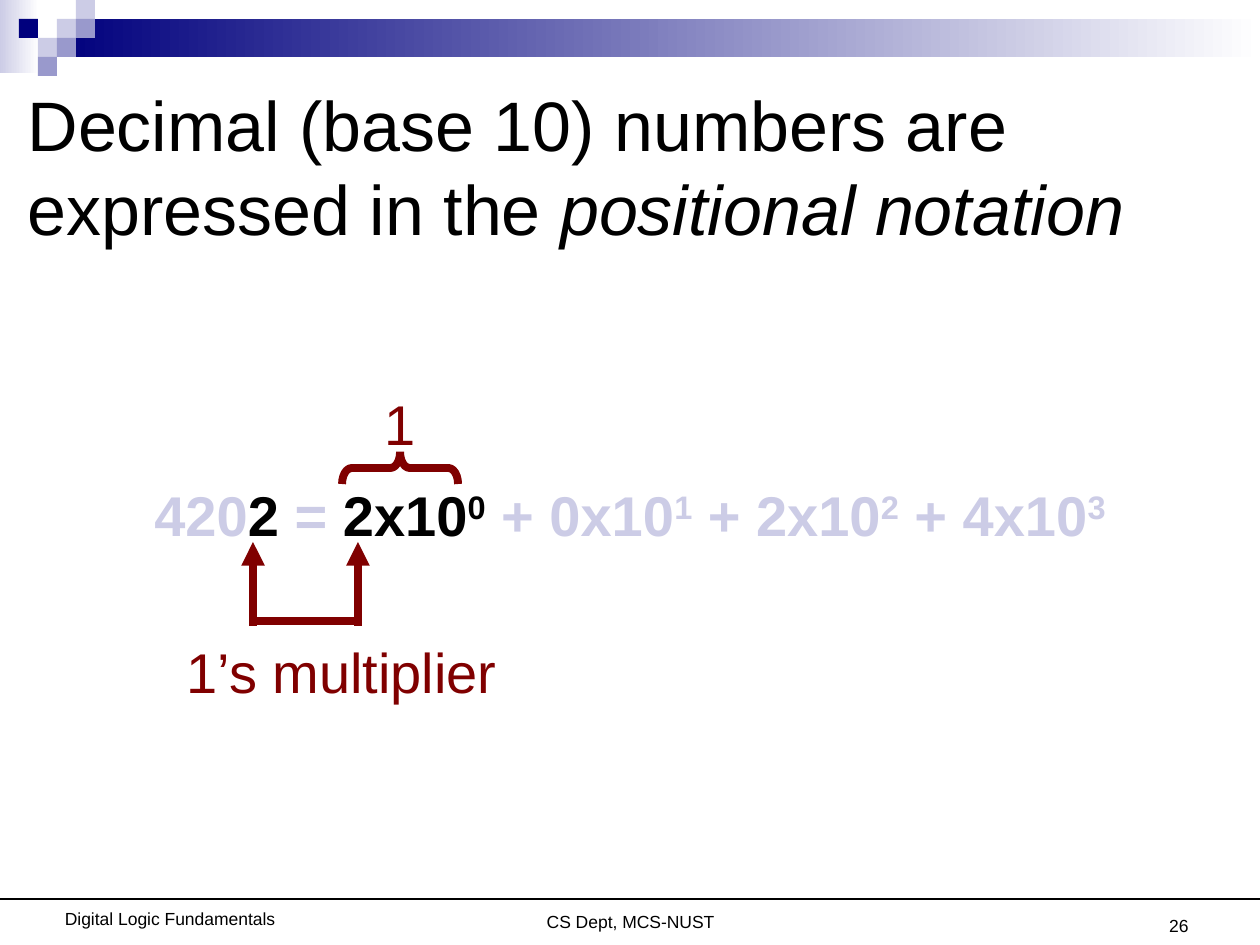
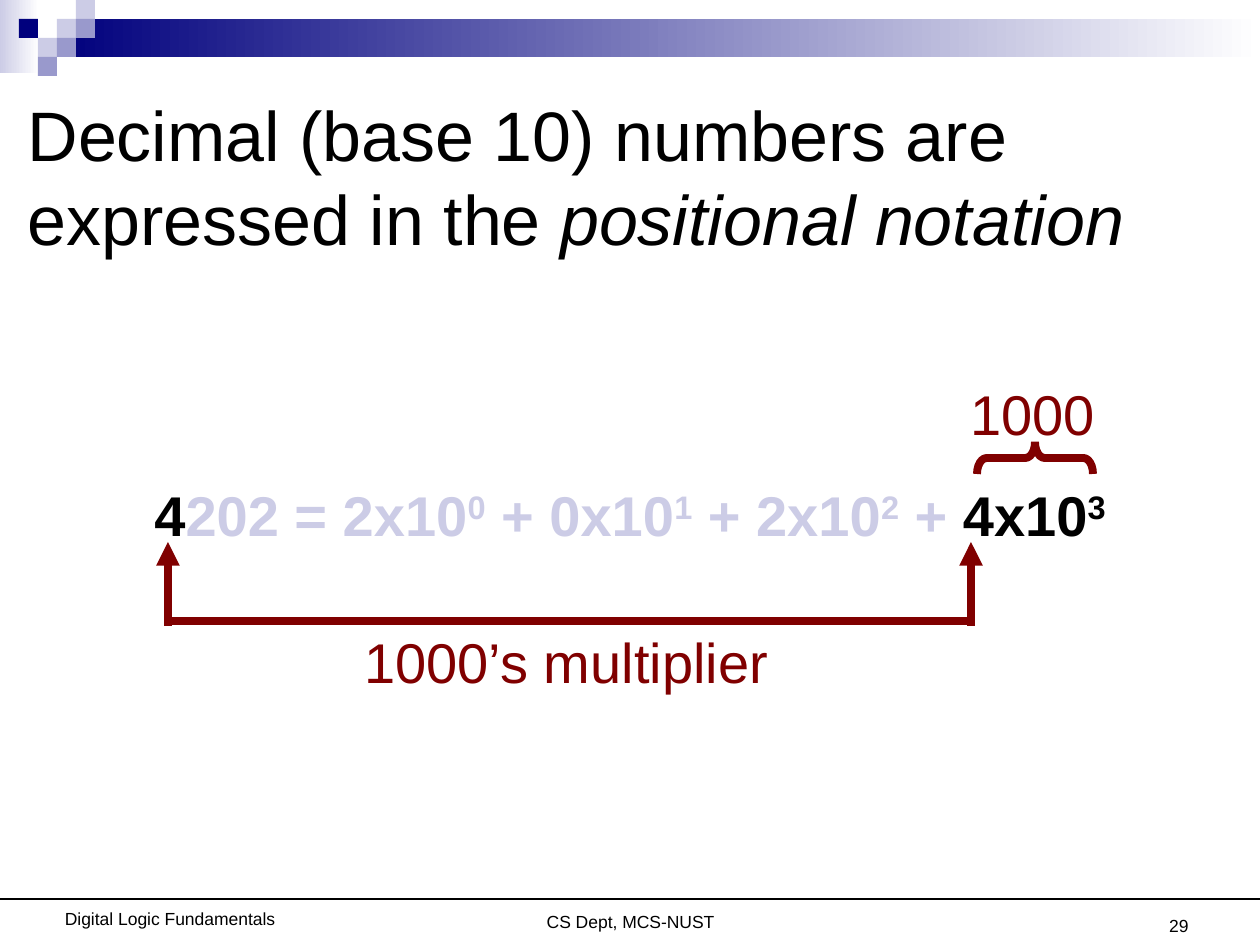
from dataclasses import dataclass
from typing import NamedTuple

from lxml.etree import SubElement
from pptx import Presentation
from pptx.dml.color import RGBColor
from pptx.enum.shapes import MSO_CONNECTOR, MSO_SHAPE
from pptx.enum.text import MSO_ANCHOR, MSO_AUTO_SIZE, PP_ALIGN
from pptx.oxml.ns import qn
from pptx.util import Emu, Pt

PX_PER_INCH = 126
SLIDE_WIDTH, SLIDE_HEIGHT = 1260, 945


@dataclass(frozen=True)
class Theme:
    font: str = "Arial"
    ink: str = "000000"
    navy: str = "00007D"
    violet: str = "9999CC"
    pale: str = "CCCCE6"
    paper: str = "FFFFFF"
    accent: str = "800000"
    title_size: int = 40
    formula_size: int = 32
    footer_size: int = 10
    rule_width: float = 0.75
    mark_width: float = 4.5


THEME = Theme()


class Area(NamedTuple):
    left: int
    top: int
    width: int
    height: int


class Span(NamedTuple):
    text: str
    color: str = THEME.ink
    bold: bool = False
    italic: bool = False
    raised: bool = False


class Square(NamedTuple):
    column: int
    row: int
    color: str


class Footer(NamedTuple):
    text: str
    area: Area
    align: PP_ALIGN


class Label(NamedTuple):
    text: str
    area: Area


@dataclass(frozen=True)
class PositionSlide:
    number: int
    power: int
    title_top: int
    arrow_xs: tuple[int, int]
    brace_center: int
    brace_top: int
    weight: Label
    multiplier: Label


TITLE = [
    Span("Decimal (base 10) numbers are expressed in the "),
    Span("positional notation", italic=True),
]
DIGITS = "4202"
FORMULA_AREA = Area(0, 474, SLIDE_WIDTH, 80)
SQUARE_SIDE = 19
SQUARES = [
    Square(3, 1, THEME.pale),
    Square(4, 0, THEME.pale),
    Square(4, 1, THEME.violet),
    Square(2, 2, THEME.pale),
    Square(1, 1, THEME.navy),
    Square(3, 2, THEME.violet),
    Square(2, 3, THEME.violet),
]
FOOTERS = [
    Footer("CS Dept, MCS-NUST", Area(368, 905, 525, 32), PP_ALIGN.CENTER),
    Footer("Digital Logic Fundamentals", Area(44, 902, 252, 32), PP_ALIGN.CENTER),
]
NUMBER_AREA = Area(907, 910, 294, 32)
FOOTER_RULE_Y = 899
ARROW_TIP_Y, ARROW_BASE_Y, BRACKET_Y = 542, 626, 621
BRACE_DEPTH, BRACE_SPAN = 32, 116

SLIDES = [
    PositionSlide(
        number=26, power=0, title_top=87, arrow_xs=(253, 358),
        brace_center=400, brace_top=452,
        weight=Label("1", Area(372, 383, 57, 81)),
        multiplier=Label("1’s multiplier", Area(174, 631, 336, 81)),
    ),
    PositionSlide(
        number=29, power=3, title_top=97, arrow_xs=(168, 971),
        brace_center=1035, brace_top=442,
        weight=Label("1000", Area(958, 373, 150, 81)),
        multiplier=Label("1000’s multiplier", Area(352, 621, 430, 81)),
    ),
]


def px(length: int) -> Emu:
    return Emu(round(length * 914400 / PX_PER_INCH))


def rgb(color: str) -> RGBColor:
    return RGBColor.from_string(color)


def format_text(frame, spans: list[Span], *, size: int, align=PP_ALIGN.LEFT,
                anchor=MSO_ANCHOR.TOP, wrap: bool = True) -> None:
    frame.auto_size = MSO_AUTO_SIZE.NONE
    frame.word_wrap = wrap
    frame.vertical_anchor = anchor
    para = frame.paragraphs[0]
    para.alignment = align
    for part in spans:
        span = para.add_run()
        span.text = part.text
        span.font.name = THEME.font
        span.font.size = Pt(size)
        span.font.bold = part.bold
        span.font.italic = part.italic
        span.font.color.rgb = rgb(part.color)
        if part.raised:
            span._r.get_or_add_rPr().set("baseline", "30000")


def add_text(page, area: Area, spans: list[Span], **text_format) -> None:
    box = page.shapes.add_textbox(*map(px, area))
    format_text(box.text_frame, spans, **text_format)


def add_block(page, area: Area, color: str, fade_to: str | None = None) -> None:
    block = page.shapes.add_shape(MSO_SHAPE.RECTANGLE, *map(px, area))
    block.shadow.inherit = False
    block.line.fill.background()
    if fade_to is None:
        block.fill.solid()
        block.fill.fore_color.rgb = rgb(color)
        return
    block.fill.gradient()
    block.fill.gradient_angle = 0
    for stop, shade in zip(block.fill.gradient_stops, (color, fade_to)):
        stop.color.rgb = rgb(shade)


def add_line(page, start: tuple[int, int], end: tuple[int, int], *,
             color: str, width: float, arrow: bool = False) -> None:
    line = page.shapes.add_connector(
        MSO_CONNECTOR.STRAIGHT, *map(px, (*start, *end)))
    line.line.color.rgb = rgb(color)
    line.line.width = Pt(width)
    if arrow:
        SubElement(line.line._get_or_add_ln(), qn("a:tailEnd"), type="triangle")
    SubElement(line._element.spPr, qn("a:effectLst"))


def add_brace(page, center: int, top: int) -> None:
    area = Area(center - BRACE_DEPTH // 2, top + (BRACE_DEPTH - BRACE_SPAN) // 2,
                BRACE_DEPTH, BRACE_SPAN)
    brace = page.shapes.add_shape(MSO_SHAPE.LEFT_BRACE, *map(px, area))
    brace.rotation = 90
    brace.adjustments[0] = 0.3
    brace.shadow.inherit = False
    brace.fill.background()
    brace.line.color.rgb = rgb(THEME.accent)
    brace.line.width = Pt(THEME.mark_width)
    SubElement(brace.line._get_or_add_ln(), qn("a:bevel"))


def add_bracket(page, arrow_xs: tuple[int, int]) -> None:
    mark = {"color": THEME.accent, "width": THEME.mark_width}
    left, right = arrow_xs
    add_line(page, (left, BRACKET_Y), (right, BRACKET_Y), **mark)
    for x in arrow_xs:
        add_line(page, (x, ARROW_BASE_Y), (x, ARROW_TIP_Y), arrow=True, **mark)


def formula_spans(active_power: int) -> list[Span]:
    def tone(power: int) -> str:
        return THEME.ink if power == active_power else THEME.pale

    top_power = len(DIGITS) - 1
    spans = [Span(digit, tone(top_power - index), bold=True)
             for index, digit in enumerate(DIGITS)]
    for power, digit in enumerate(reversed(DIGITS)):
        spans += [
            Span(" + " if power else " = ", THEME.pale, bold=True),
            Span(f"{digit}x10", tone(power), bold=True),
            Span(str(power), tone(power), bold=True, raised=True),
        ]
    return spans


def add_frame(page, number: int) -> None:
    add_block(page, Area(0, 0, 39, 73), THEME.pale, THEME.paper)
    band_left = 3 * SQUARE_SIDE
    add_block(page, Area(band_left, SQUARE_SIDE, SLIDE_WIDTH - band_left,
                         2 * SQUARE_SIDE), THEME.navy, THEME.paper)
    for square in SQUARES:
        add_block(page, Area(square.column * SQUARE_SIDE, square.row * SQUARE_SIDE,
                             SQUARE_SIDE, SQUARE_SIDE), square.color)
    for footer in FOOTERS:
        add_text(page, footer.area, [Span(footer.text)],
                 size=THEME.footer_size, align=footer.align)
    add_line(page, (0, FOOTER_RULE_Y), (SLIDE_WIDTH, FOOTER_RULE_Y),
             color=THEME.ink, width=THEME.rule_width)
    add_text(page, NUMBER_AREA, [Span(str(number))], size=THEME.footer_size,
             align=PP_ALIGN.RIGHT, anchor=MSO_ANCHOR.BOTTOM)


def add_title(page, top: int) -> None:
    title = page.shapes.title
    title.left, title.top, title.width, title.height = map(
        px, Area(15, top, SLIDE_WIDTH - 15, 158))
    format_text(title.text_frame, TITLE, size=THEME.title_size,
                anchor=MSO_ANCHOR.MIDDLE)


def add_position_slide(deck, content: PositionSlide) -> None:
    page = deck.slides.add_slide(deck.slide_layouts.get_by_name("Title Only"))
    add_frame(page, content.number)
    add_title(page, content.title_top)
    add_text(page, FORMULA_AREA, formula_spans(content.power),
             size=THEME.formula_size, align=PP_ALIGN.CENTER)
    add_bracket(page, content.arrow_xs)
    add_brace(page, content.brace_center, content.brace_top)
    for label in (content.weight, content.multiplier):
        add_text(page, label.area, [Span(label.text, THEME.accent)],
                 size=THEME.formula_size, wrap=False)


def main() -> None:
    deck = Presentation()
    deck.slide_width, deck.slide_height = px(SLIDE_WIDTH), px(SLIDE_HEIGHT)
    for content in SLIDES:
        add_position_slide(deck, content)
    deck.save("out.pptx")


if __name__ == "__main__":
    main()
